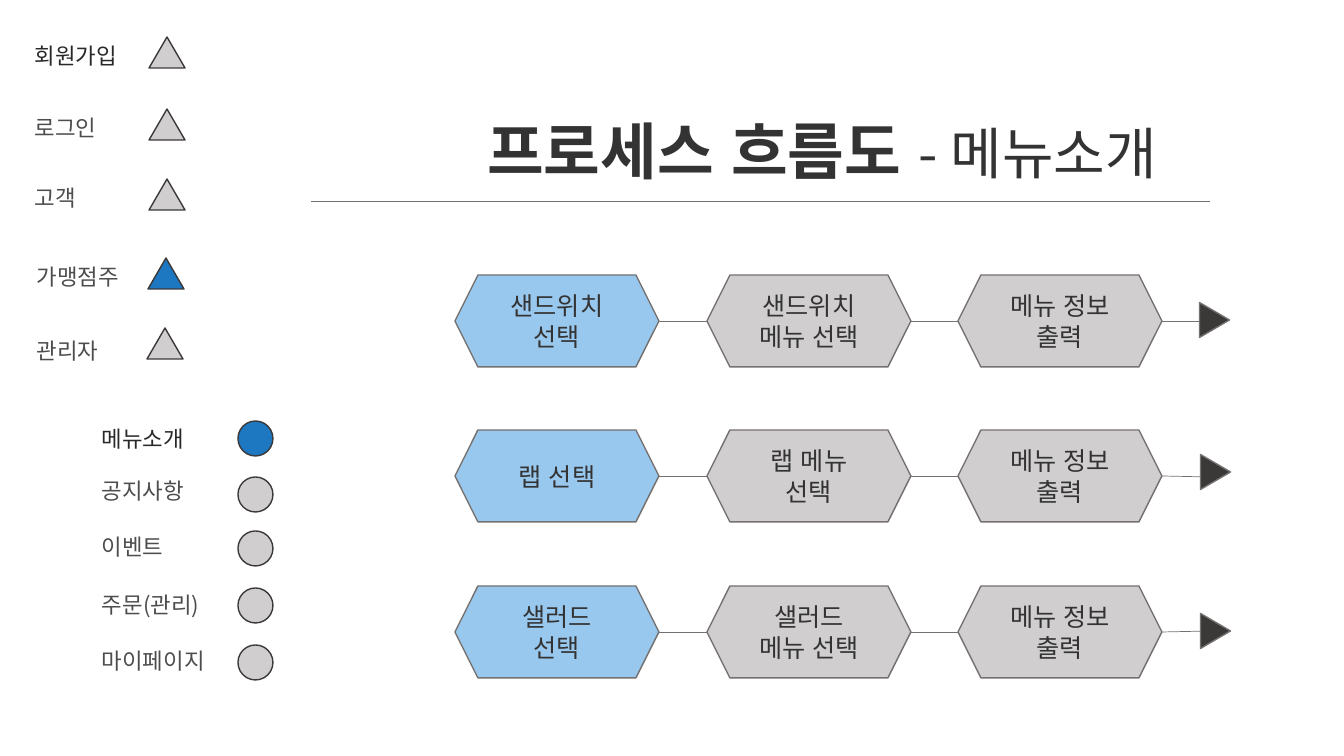
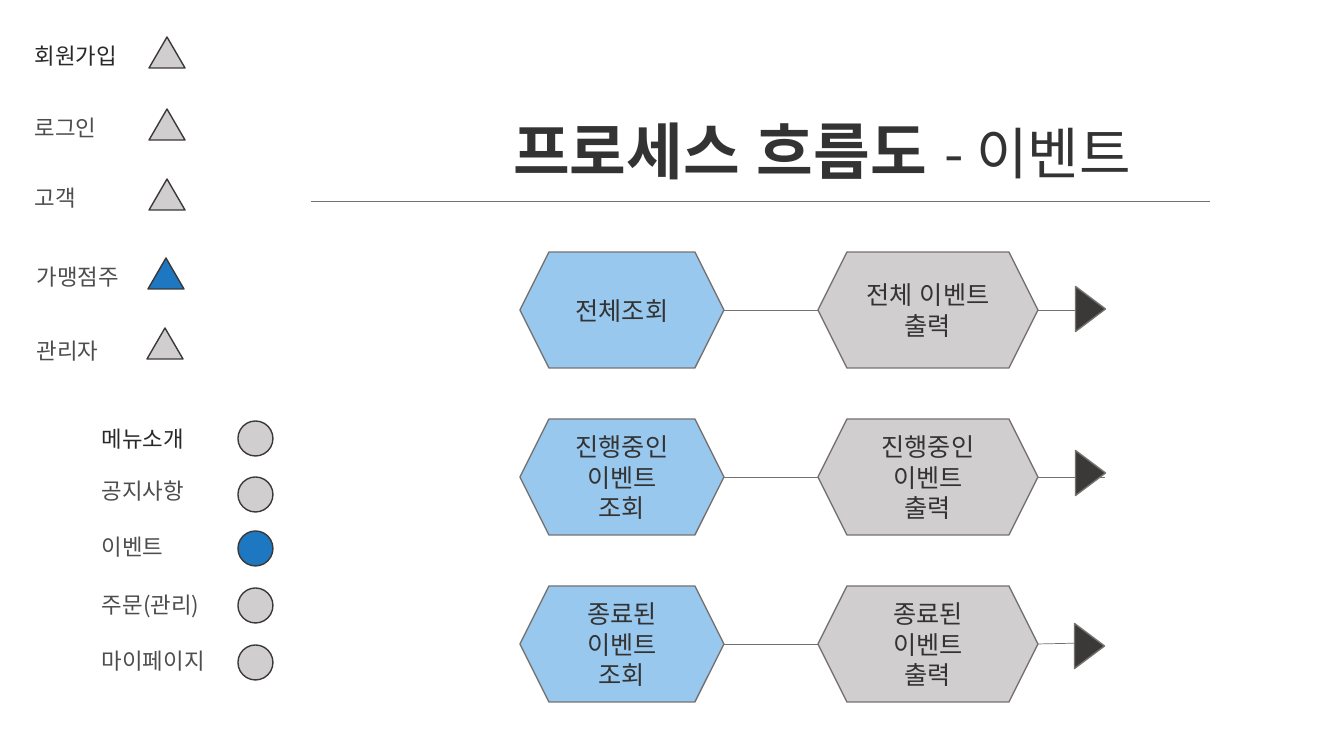
from pptx import Presentation
from pptx import util as u
from pptx.dml.color import RGBColor
from pptx.enum import lang, shapes, text
from pptx.oxml import ns
from lxml import etree

SCALE = 914400 / 100.8
THEME = {
    "font": "Noto Sans CJK KR",
    "title_size": 44, "subtitle_size": 40, "step_size": 18, "menu_size": 16,
    "ink": "333333", "first": "292929", "label": "4D4D4D",
    "plain": "D0CECE", "active": "1D77C1", "start": "99C8EF",
    "dark": "3B3838", "line": "767171",
    "outline": 1, "thin": 0.5,
}
SHAPE = shapes.MSO_SHAPE
LEFT, CENTER = text.PP_ALIGN.LEFT, text.PP_ALIGN.CENTER
BOX_FORMAT = {"word_wrap": True, "auto_size": text.MSO_AUTO_SIZE.SHAPE_TO_FIT_TEXT}
STEP_FORMAT = {"word_wrap": True, "vertical_anchor": text.MSO_ANCHOR.MIDDLE}


def draw(page, kind, frame, fill, line):
    shape = page.shapes.add_shape(kind, *[u.Emu(round(v * SCALE)) for v in frame])
    shape.shadow.inherit = False
    shape.fill.solid()
    shape.fill.fore_color.rgb = RGBColor.from_string(THEME[fill])
    shape.line.color.rgb = RGBColor.from_string(THEME[line])
    shape.line.width = u.Pt(THEME["outline"])
    return shape


def write(shape, lines, align, box_format):
    frame = shape.text_frame
    for name, value in box_format.items():
        setattr(frame, name, value)
    for index, spans in enumerate(lines):
        para = frame.add_paragraph() if index else frame.paragraphs[0]
        para.alignment = align
        for words, size, color, bold in spans:
            span = para.add_run()
            span.text = words
            font_format = {"name": THEME["font"], "size": u.Pt(THEME[size]), "bold": bold,
                           "language_id": lang.MSO_LANGUAGE_ID.KOREAN}
            for name, value in font_format.items():
                setattr(span.font, name, value)
            span.font.color.rgb = RGBColor.from_string(THEME[color])
            east = etree.SubElement(span.font._element, ns.qn("a:ea"))
            east.set("typeface", THEME["font"])


ROLES = [
    ("회원가입", 25, 37, 149, 37),
    ("로그인", 25, 109, 149, 109),
    ("고객", 25, 179, 149, 179),
    ("가맹점주", 27, 258, 148, 258),
    ("관리자", 27, 332, 147, 328),
]
MENUS = [
    ("메뉴소개", 92, 420, 238, 421),
    ("공지사항", 92, 472, 238, 477),
    ("이벤트", 92, 528, 238, 531),
    ("주문(관리)", 92, 586, 238, 588),
    ("마이페이지", 92, 642, 238, 645),
]
MARKERS = [
    (ROLES, SHAPE.ISOSCELES_TRIANGLE, 36, 31, 128),
    (MENUS, SHAPE.OVAL, 35, 35, 159),
]
FLOWS = [
    {
        "menu": "메뉴소개",
        "columns": [(455, 204), (707, 204), (958, 204)],
        "top": 275, "pitch": 155.5, "height": 92,
        "rows": [
            ["샌드위치\n선택", "샌드위치\n메뉴 선택", "메뉴 정보 출력"],
            ["랩 선택", "랩 메뉴\n선택", "메뉴 정보 출력"],
            ["샐러드\n선택", "샐러드\n메뉴 선택", "메뉴 정보 출력"],
        ],
        "exits": [(1210, 321), (1210, 477), (1210, 631)],
        "arrows": [(1197, 305), (1198, 457), (1198, 616)], "arrow_width": 35,
    },
    {
        "menu": "이벤트",
        "columns": [(520, 204), (818, 220)],
        "top": 252, "pitch": 167, "height": 116,
        "rows": [
            ["전체조회", "전체 이벤트 출력"],
            ["진행중인\n이벤트\n조회", "진행중인\n이벤트\n출력"],
            ["종료된\n이벤트\n조회", "종료된\n이벤트\n출력"],
        ],
        "exits": [(1076, 310), (1105, 477), (1085, 643)],
        "arrows": [(1068, 294), (1068, 458), (1067, 631)], "arrow_width": 45,
    },
]

deck = Presentation()
deck.slide_width, deck.slide_height = [u.Emu(round(v * SCALE)) for v in (1344, 756)]

for flow in FLOWS:
    page = deck.slides.add_slide(deck.slide_layouts[6])

    for entries, kind, width, height, label_width in MARKERS:
        for index, (name, label_left, label_top, left, top) in enumerate(entries):
            fill = "active" if name in ("가맹점주", flow["menu"]) else "plain"
            draw(page, kind, (left, top, width, height), fill, "dark")
            frame = (label_left, label_top, label_width, 37)
            box = page.shapes.add_textbox(*[u.Emu(round(v * SCALE)) for v in frame])
            color = "label" if index else "first"
            write(box, [[(name, "menu_size", color, False)]], LEFT, BOX_FORMAT)

    title = page.shapes.add_textbox(*[u.Emu(round(v * SCALE)) for v in (436, 108, 772, 85)])
    write(title, [[("프로세스 흐름도 ", "title_size", "ink", True),
                   ("- " + flow["menu"], "subtitle_size", "ink", False)]], CENTER, BOX_FORMAT)

    links = [(311, 201, 1210, 201)]
    columns = flow["columns"]
    for row, steps in enumerate(flow["rows"]):
        top = round(flow["top"] + row * flow["pitch"])
        middle = top + flow["height"] // 2
        for column, step in enumerate(steps):
            left, width = columns[column]
            hexagon = draw(page, SHAPE.HEXAGON, (left, top, width, flow["height"]),
                           "plain" if column else "start", "line")
            lines = [[(words, "step_size", "ink", False)] for words in step.split("\n")]
            write(hexagon, lines, CENTER, STEP_FORMAT)
            last = column == len(columns) - 1
            end = flow["exits"][row] if last else (columns[column + 1][0], middle)
            links.append((left + width, middle, *end))

    for link in links:
        line = page.shapes.add_connector(shapes.MSO_CONNECTOR.STRAIGHT,
                                         *[u.Emu(round(v * SCALE)) for v in link])
        line.line.color.rgb = RGBColor.from_string(THEME["line"])
        line.line.width = u.Pt(THEME["thin"])
        etree.SubElement(line._element.spPr, ns.qn("a:effectLst"))

    for left, top in flow["arrows"]:
        arrow = draw(page, SHAPE.ISOSCELES_TRIANGLE, (left, top, flow["arrow_width"], 30),
                     "dark", "line")
        arrow.rotation = 90

deck.save("out.pptx")
